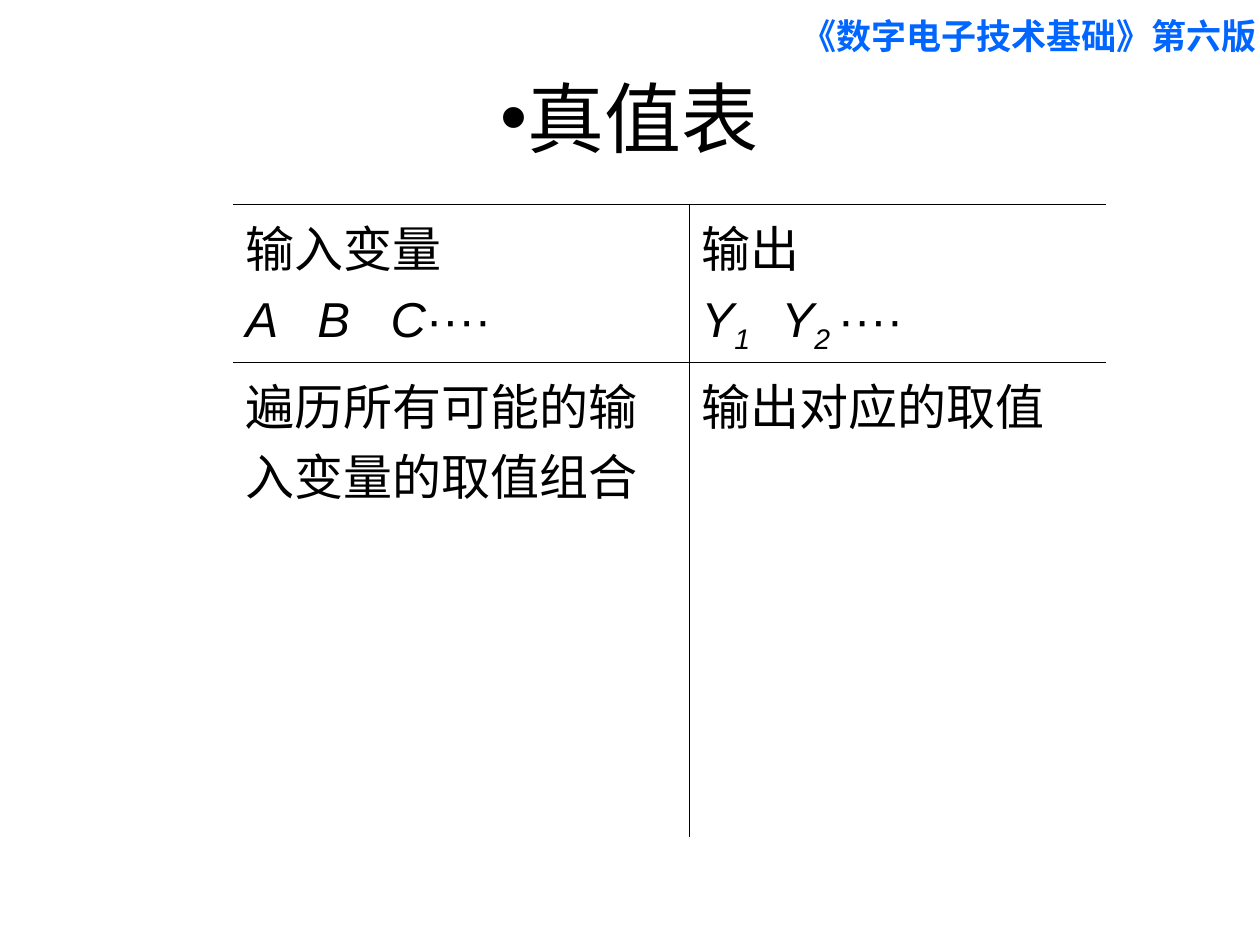
from dataclasses import dataclass

from pptx import Presentation
from pptx.dml.color import RGBColor
from pptx.enum import text
from pptx.oxml import ns, xmlchemy
from pptx.util import Pt


@dataclass(frozen=True)
class Theme:
    font: str = "Arial"
    ink: RGBColor = RGBColor(0, 0, 0)
    accent: RGBColor = RGBColor(0, 0x66, 0xFF)
    title_size: int = 44
    body_size: int = 28
    banner_size: int = 20
    rule_width: float = 0.45
    paragraph_gap: int = 7


THEME = Theme()
HEADERS = [
    [[("输入变量", "")], [("A   B   C", "i"), ("····", "")]],
    [[("输出", "")],
     [("Y", "i"), ("1    ", "is"), ("Y", "i"), ("2 ", "is"), ("····", "")]],
]
BODIES = [
    [[("遍历所有可能的输入变量的取值组合", "")]],
    [[("输出对应的取值", "")]],
]


def style_font(font, size, color=THEME.ink, bold=False, italic=False):
    font.name = THEME.font
    font.size = Pt(size)
    font.color.rgb = color
    font.bold = bold
    font.italic = italic


def add_element(parent, tag, **attributes):
    element = xmlchemy.OxmlElement(tag)
    for name, value in attributes.items():
        element.set(name, value)
    parent.append(element)
    return element


def add_banner(page, left, top, width, height):
    box = page.shapes.add_textbox(Pt(left), Pt(top), Pt(width), Pt(height))
    box.text_frame.word_wrap = True
    para = box.text_frame.paragraphs[0]
    para.text = "《数字电子技术基础》第六版"
    style_font(para.runs[0].font, THEME.banner_size, THEME.accent, bold=True)


def place_title(page, left, top, width, height):
    title = page.shapes.title
    title.left, title.top = Pt(left), Pt(top)
    title.width, title.height = Pt(width), Pt(height)
    title.text_frame.vertical_anchor = text.MSO_ANCHOR.MIDDLE
    para = title.text_frame.paragraphs[0]
    para.text = "真值表"
    para.alignment = text.PP_ALIGN.CENTER
    properties = para._p.get_or_add_pPr()
    properties.set("marL", "0")
    properties.set("indent", "0")
    color = add_element(properties, "a:buClr")
    add_element(color, "a:srgbClr", val=str(THEME.ink))
    add_element(properties, "a:buFont", typeface=THEME.font)
    add_element(properties, "a:buChar", char="•")
    style_font(para.runs[0].font, THEME.title_size)


def set_borders(cell, sides):
    properties = cell._tc.get_or_add_tcPr()
    for side in "LRTB":
        line = add_element(properties, f"a:ln{side}", w=str(Pt(THEME.rule_width)))
        if side in sides:
            fill = add_element(line, "a:solidFill")
            add_element(fill, "a:srgbClr", val=str(THEME.ink))
        else:
            add_element(line, "a:noFill")
    cell.fill.background()
    fill = properties.find(ns.qn("a:noFill"))
    properties.remove(fill)
    properties.append(fill)


def fill_cell(cell, lines):
    frame = cell.text_frame
    for index, parts in enumerate(lines):
        para = frame.add_paragraph() if index else frame.paragraphs[0]
        if index:
            para.space_before = Pt(THEME.paragraph_gap)
        for words, marks in parts:
            span = para.add_run()
            span.text = words
            style_font(span.font, THEME.body_size, italic="i" in marks)
            if "s" in marks:
                span._r.get_or_add_rPr().set("baseline", "-25000")


def add_truth_table(page, left, top, widths, heights):
    rows = [HEADERS, BODIES]
    frame = page.shapes.add_table(
        len(heights), len(widths), Pt(left), Pt(top), Pt(sum(widths)), Pt(sum(heights)))
    table = frame.table
    table.first_row = table.horz_banding = False
    for column, width in zip(table.columns, widths):
        column.width = Pt(width)
    for row, height in zip(table.rows, heights):
        row.height = Pt(height)
    for row_index, cells in enumerate(rows):
        for column_index, lines in enumerate(cells):
            cell = table.cell(row_index, column_index)
            fill_cell(cell, lines)
            horizontal = "T" if row_index else "TB"
            set_borders(cell, horizontal + "RL"[column_index])


def build_truth_table_page(deck):
    page = deck.slides.add_slide(deck.slide_layouts[5])
    add_banner(page, 450.7, 5, 292.3, 31.7)
    place_title(page, 36, 21.6, 648, 90)
    add_truth_table(page, 133.2, 116.6, [260.6, 238.3], [90.3, 271.4])


def main():
    deck = Presentation()
    deck.slide_width, deck.slide_height = Pt(720), Pt(540)
    build_truth_table_page(deck)
    deck.save("out.pptx")


if __name__ == "__main__":
    main()
